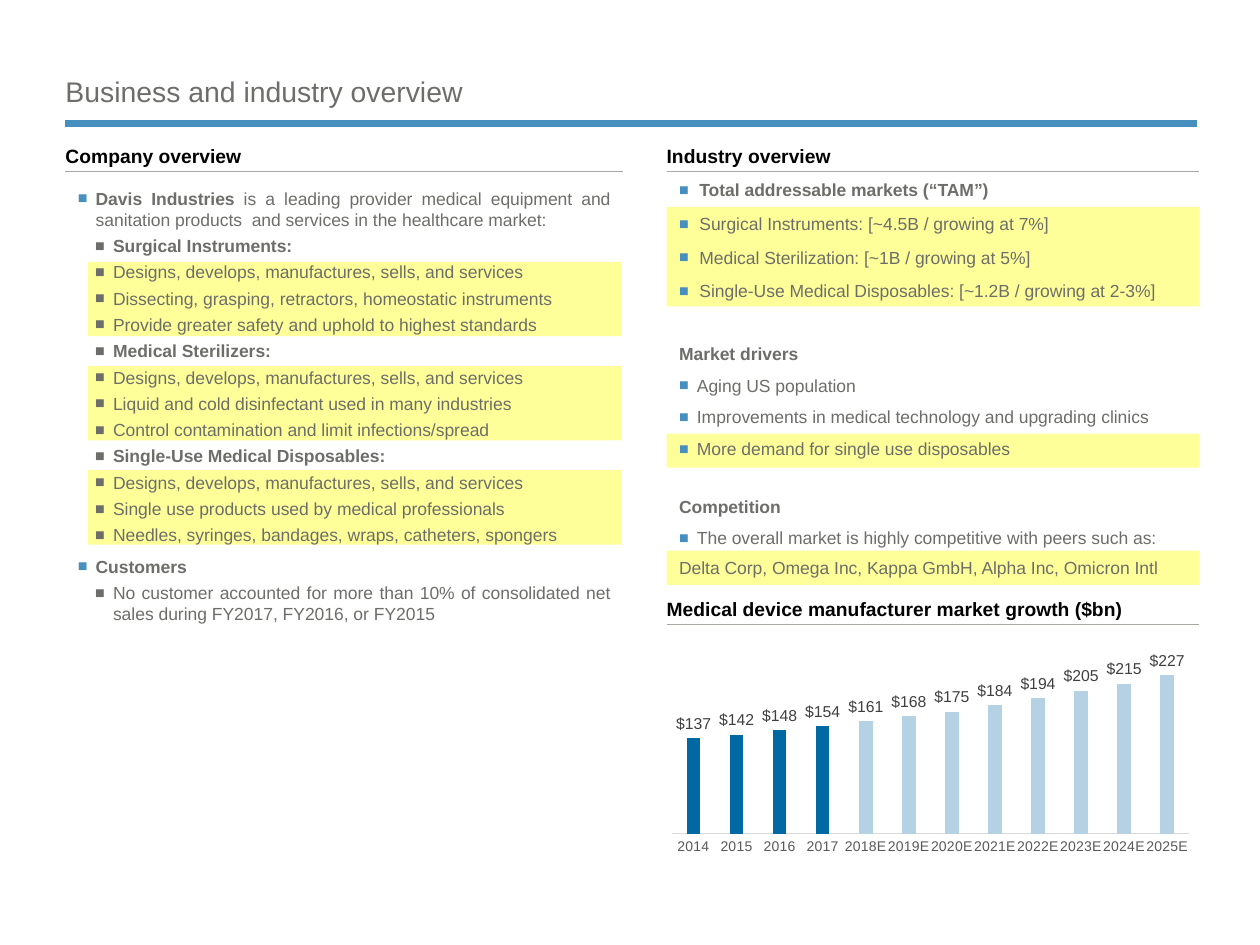
from dataclasses import dataclass
from lxml.etree import SubElement
from pptx import Presentation
from pptx.chart.data import CategoryChartData
from pptx.dml.color import RGBColor as Color
from pptx.enum.chart import XL_CHART_TYPE as ChartType, XL_LABEL_POSITION as LabelPosition
from pptx.enum.chart import XL_TICK_MARK as TickMark
from pptx.enum.shapes import MSO_CONNECTOR as Connector, MSO_SHAPE as Shape
from pptx.enum.text import MSO_ANCHOR as Anchor, PP_ALIGN as Align
from pptx.oxml import parse_xml
from pptx.oxml.ns import nsdecls, qn
from pptx.util import Cm, Pt


@dataclass(frozen=True)
class Theme:
    font: str = "Arial"
    title: float = 16.2
    heading: float = 11
    body: float = 10
    label: float = 9
    axis: float = 8
    grey: str = "6D6E6A"
    black: str = "000000"
    blue: str = "478FBF"
    rule: str = "A8A8A5"
    yellow: str = "FFFF99"
    actual: str = "0069A3"
    estimate: str = "B5D2E5"
    label_grey: str = "404040"
    axis_grey: str = "595959"
    axis_line: str = "D9D9D9"


@dataclass(frozen=True)
class ParagraphStyle:
    bullet: str = ""
    indent: float = 0
    hanging: float = 0
    before: float = 6
    spacing: float = 1.0
    align: Align = Align.JUSTIFY


class SlideBuilder:
    """Draws themed elements on the current slide."""

    def __init__(self, page, theme):
        self.page = page
        self.theme = theme

    def format_font(self, font, size, color, bold=False):
        font.name, font.size, font.bold = self.theme.font, Pt(size), bold
        font.color.rgb = Color.from_string(color)

    def set_insets(self, frame, left, top, right, bottom):
        frame.margin_left, frame.margin_top = Cm(left), Cm(top)
        frame.margin_right, frame.margin_bottom = Cm(right), Cm(bottom)

    def title(self, text, *place):
        box = self.page.shapes.title
        box.left, box.top, box.width, box.height = map(Cm, place)
        frame = box.text_frame
        frame.text = text
        frame.vertical_anchor = Anchor.MIDDLE
        self.set_insets(frame, 0, 0.13, 0, 0.13)
        para = frame.paragraphs[0]
        para.alignment, para.line_spacing = Align.LEFT, 0.9
        self.format_font(para.runs[0].font, self.theme.title, self.theme.grey)

    def rule(self, left, top, width, color, weight):
        line = self.page.shapes.add_connector(
            Connector.STRAIGHT, Cm(left), Cm(top), Cm(left + width), Cm(top))
        line.line.color.rgb = Color.from_string(color)
        line.line.width = Pt(weight)
        SubElement(line._element.spPr, qn("a:effectLst"))

    def highlight(self, *place):
        box = self.page.shapes.add_shape(Shape.RECTANGLE, *map(Cm, place))
        box.shadow.inherit = False
        box.fill.solid()
        box.fill.fore_color.rgb = Color.from_string(self.theme.yellow)
        box.line.fill.background()
        return box

    def heading(self, text, left, top, width, height):
        box = self.page.shapes.add_textbox(Cm(left), Cm(top), Cm(width), Cm(height))
        frame = box.text_frame
        frame.word_wrap, frame.vertical_anchor = True, Anchor.BOTTOM
        self.set_insets(frame, 0, 0.13, 0.13, 0.08)
        frame.text = text
        font = frame.paragraphs[0].runs[0].font
        self.format_font(font, self.theme.heading, self.theme.black, True)
        self.rule(left, top + height, width, self.theme.rule, 0.75)

    def text(self, lines, *place):
        box = self.page.shapes.add_textbox(*map(Cm, place))
        self.fill_text(box.text_frame, lines)

    def fill_text(self, frame, lines):
        frame.word_wrap, frame.vertical_anchor = True, Anchor.TOP
        for index, (style, strong, plain) in enumerate(lines):
            para = frame.add_paragraph() if index else frame.paragraphs[0]
            para.alignment, para.line_spacing = style.align, style.spacing
            para.space_before = Pt(style.before)
            for words, bold in ((strong, True), (plain, False)):
                if words:
                    span = para.add_run()
                    span.text = words
                    self.format_font(span.font, self.theme.body, self.theme.grey, bold)
            if style.bullet:
                self.bullet(para, style)

    def bullet(self, para, style):
        props = para._p.get_or_add_pPr()
        props.set("marL", str(Cm(style.indent)))
        props.set("indent", str(-Cm(style.hanging)))
        SubElement(SubElement(props, qn("a:buClr")), qn("a:srgbClr"), val=style.bullet)
        SubElement(props, qn("a:buSzPct"), val="92000")
        SubElement(props, qn("a:buFont"), typeface=self.theme.font)
        SubElement(props, qn("a:buChar"), char="■")

    def column_chart(self, name, values, number_format, peak, plot_area, *place):
        data = CategoryChartData()
        data.categories = list(values)
        data.add_series(name, list(values.values()))
        chart = self.page.shapes.add_chart(
            ChartType.COLUMN_CLUSTERED, *map(Cm, place), data).chart
        chart.has_legend = chart.has_title = False
        self.format_font(chart.font, self.theme.label, self.theme.black)
        self.format_axes(chart, peak)
        plot = chart.plots[0]
        plot.gap_width, plot.overlap, plot.vary_by_categories = 219, -27, False
        plot.has_data_labels = True
        labels = plot.data_labels
        labels.show_value, labels.position = True, LabelPosition.OUTSIDE_END
        labels.number_format, labels.number_format_is_linked = number_format, False
        self.format_font(labels.font, self.theme.label, self.theme.label_grey)
        series = plot.series[0]
        self.fill_bar(series, self.theme.actual)
        for index, year in enumerate(values):
            if year.endswith("E"):
                self.fill_bar(series.points[index], self.theme.estimate)
        self.place_plot(chart, plot_area)

    def fill_bar(self, bar, color):
        bar.format.fill.solid()
        bar.format.fill.fore_color.rgb = Color.from_string(color)

    def format_axes(self, chart, peak):
        scale, years = chart.value_axis, chart.category_axis
        scale.minimum_scale, scale.maximum_scale = 0, peak
        scale.has_major_gridlines = scale.visible = False
        years.major_tick_mark = years.minor_tick_mark = TickMark.NONE
        years.format.line.color.rgb = Color.from_string(self.theme.axis_line)
        years.format.line.width = Pt(0.75)
        self.format_font(years.tick_labels.font, self.theme.axis, self.theme.axis_grey)
        years._element.find(".//" + qn("a:bodyPr")).set("rot", "-60000000")

    def place_plot(self, chart, plot_area):
        area = chart._chartSpace.find(".//" + qn("c:plotArea"))
        for old in area.findall(qn("c:layout")):
            area.remove(old)
        modes = '<c:layoutTarget val="inner"/><c:xMode val="edge"/><c:yMode val="edge"/>'
        sizes = "".join(f'<c:{key} val="{part}"/>' for key, part in zip("xywh", plot_area))
        area.insert(0, parse_xml(
            f'<c:layout {nsdecls("c")}><c:manualLayout>{modes}{sizes}'
            "</c:manualLayout></c:layout>"))


theme = Theme()
deck = Presentation()
deck.slide_width, deck.slide_height = Cm(25.4), Cm(19.05)
slide = SlideBuilder(deck.slides.add_slide(deck.slide_layouts[5]), theme)

LEFT, RIGHT, LEFT_WIDTH, RIGHT_WIDTH = 1.32, 13.44, 11.23, 10.74
main = ParagraphStyle(theme.blue, 0.36, 0.36)
detail = ParagraphStyle(theme.grey, 0.71, 0.36, before=3)
market = ParagraphStyle(theme.blue, 0.41, 0.41, spacing=1.1, align=Align.LEFT)
drivers_head = ParagraphStyle(before=24)
competition_head = ParagraphStyle(before=21)

slide.title("Business and industry overview", LEFT, 1.5, 22.86, 0.76)
slide.rule(LEFT, 2.49, 22.81, theme.blue, 4.5)
for segment in range(3):
    slide.highlight(1.78, 5.28 + 2.1 * segment, RIGHT_WIDTH, 1.5)
slide.highlight(RIGHT, 8.74, RIGHT_WIDTH, 0.69)
slide.highlight(RIGHT, 4.17, RIGHT_WIDTH, 2.01)
slide.heading("Company overview", LEFT, 2.77, LEFT_WIDTH, 0.69)
slide.heading("Industry overview", RIGHT, 2.77, RIGHT_WIDTH, 0.69)
slide.heading("Medical device manufacturer market growth ($bn)", RIGHT, 12.01, RIGHT_WIDTH, 0.58)
peers = slide.highlight(RIGHT, 11.1, RIGHT_WIDTH, 0.69)
slide.fill_text(peers.text_frame, [
    (ParagraphStyle(), "", "Delta Corp, Omega Inc, Kappa GmbH, Alpha Inc, Omicron Intl")])

SHARED = "Designs, develops, manufactures, sells, and services"
segments = {
    "Surgical Instruments:": ("Dissecting, grasping, retractors, homeostatic instruments",
                              "Provide greater safety and uphold to highest standards"),
    "Medical Sterilizers:": ("Liquid and cold disinfectant used in many industries",
                             "Control contamination and limit infections/spread"),
    "Single-Use Medical Disposables:": ("Single use products used by medical professionals",
                                        "Needles, syringes, bandages, wraps, catheters, spongers"),
}
company = [(main, "Davis Industries ", "is a leading provider medical equipment and sanitation "
            "products  and services in the healthcare market:")]
for segment, points in segments.items():
    company.append((detail, segment, ""))
    company += [(detail, "", point) for point in (SHARED, *points)]
company += [(main, "Customers", ""),
            (detail, "", "No customer accounted for more than 10% of consolidated net sales "
             "during FY2017, FY2016, or FY2015")]
slide.text(company, LEFT, 3.66, LEFT_WIDTH, 9.78)
slide.text([
    (market, "Total addressable markets (“TAM”)", ""),
    (market, "", "Surgical Instruments: [~4.5B / growing at 7%]"),
    (market, "", "Medical Sterilization: [~1B / growing at 5%]"),
    (market, "", "Single-Use Medical Disposables: [~1.2B / growing at 2-3%]"),
    (drivers_head, "Market drivers", ""),
    (main, "", "Aging US population"),
    (main, "", "Improvements in medical technology and upgrading clinics"),
    (main, "", "More demand for single use disposables"),
    (competition_head, "Competition", ""),
    (main, "", "The overall market is highly competitive with peers such as:"),
], RIGHT, 3.45, RIGHT_WIDTH, 7.8)

growth = {"2014": 137, "2015": 142, "2016": 148, "2017": 154, "2018E": 161, "2019E": 168,
          "2020E": 175, "2021E": 184, "2022E": 194, "2023E": 205, "2024E": 215, "2025E": 227}
slide.column_chart("Series 1", growth, '"$"#,##0', 250, (0.01, 0.07, 0.97, 0.79),
                   RIGHT, 12.98, RIGHT_WIDTH, 4.45)
deck.save("out.pptx")
